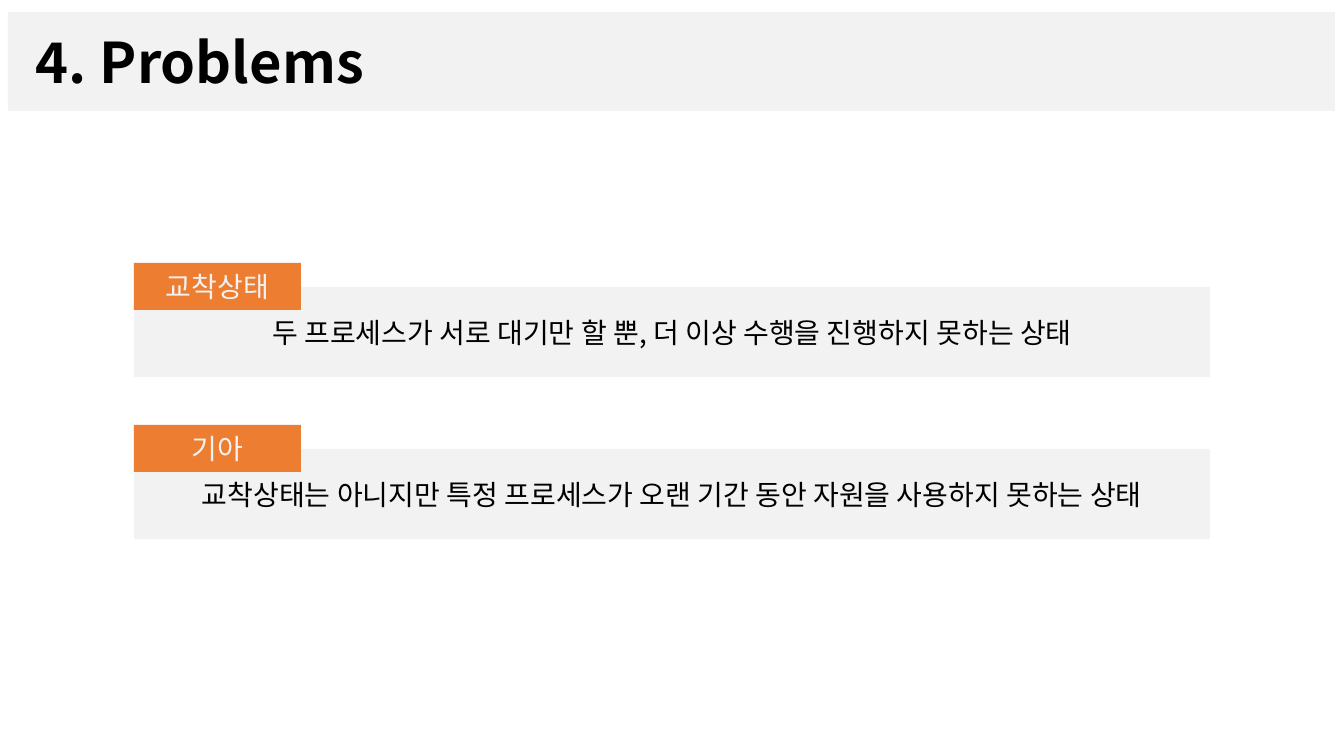
from lxml.etree import SubElement
from pptx import Presentation
from pptx.dml.color import RGBColor
from pptx.enum.shapes import MSO_SHAPE
from pptx.enum.text import MSO_ANCHOR, PP_ALIGN
from pptx.oxml.ns import qn
from pptx.util import Emu, Pt

FACE = "Noto Sans CJK KR"
GRAY = RGBColor(0xF2, 0xF2, 0xF2)
ORANGE = RGBColor(0xED, 0x7D, 0x31)
BLACK = RGBColor(0, 0, 0)

HEAD = {"size": Pt(40), "bold": True}
BODY = {"size": Pt(20), "bold": False}

TERMS = [
    ("교착상태", "두 프로세스가 서로 대기만 할 뿐, 더 이상 수행을 진행하지 못하는 상태"),
    ("기아", "교착상태는 아니지만 특정 프로세스가 오랜 기간 동안 자원을 사용하지 못하는 상태"),
]
LEFT, TOP, STEP = 134, 263, 162


def px(count):
    return Emu(round(count * 914400 / 100.8))


def add_box(slide, area, fill, text, ink, style, align=PP_ALIGN.CENTER, inset=10):
    box = slide.shapes.add_shape(MSO_SHAPE.RECTANGLE, *map(px, area))
    box.shadow.inherit = False
    box.fill.solid()
    box.fill.fore_color.rgb = fill
    box.line.fill.background()
    frame = box.text_frame
    layout = {
        "word_wrap": True,
        "vertical_anchor": MSO_ANCHOR.MIDDLE,
        "margin_left": px(inset),
        "margin_right": px(10),
        "margin_top": px(5),
        "margin_bottom": px(5),
    }
    for key, value in layout.items():
        setattr(frame, key, value)
    para = frame.paragraphs[0]
    para.alignment = align
    run = para.add_run()
    run.text = text
    for key, value in {"name": FACE, **style}.items():
        setattr(run.font, key, value)
    run.font.color.rgb = ink
    SubElement(run._r.get_or_add_rPr(), qn("a:ea"), typeface=FACE)


def add_term(slide, top, label, text):
    add_box(slide, (LEFT, top + 24, 1076, 90), GRAY, text, BLACK, BODY)
    add_box(slide, (LEFT, top, 167, 47), ORANGE, label, GRAY, BODY)


def main():
    deck = Presentation()
    deck.slide_width = px(1344)
    deck.slide_height = px(756)
    slide = deck.slides.add_slide(deck.slide_layouts[6])
    add_box(slide, (8, 12, 1327, 99), GRAY, "4. Problems", BLACK, HEAD,
            PP_ALIGN.LEFT, 28)
    for row, (label, text) in enumerate(TERMS):
        add_term(slide, TOP + row * STEP, label, text)
    deck.save("out.pptx")


if __name__ == "__main__":
    main()
